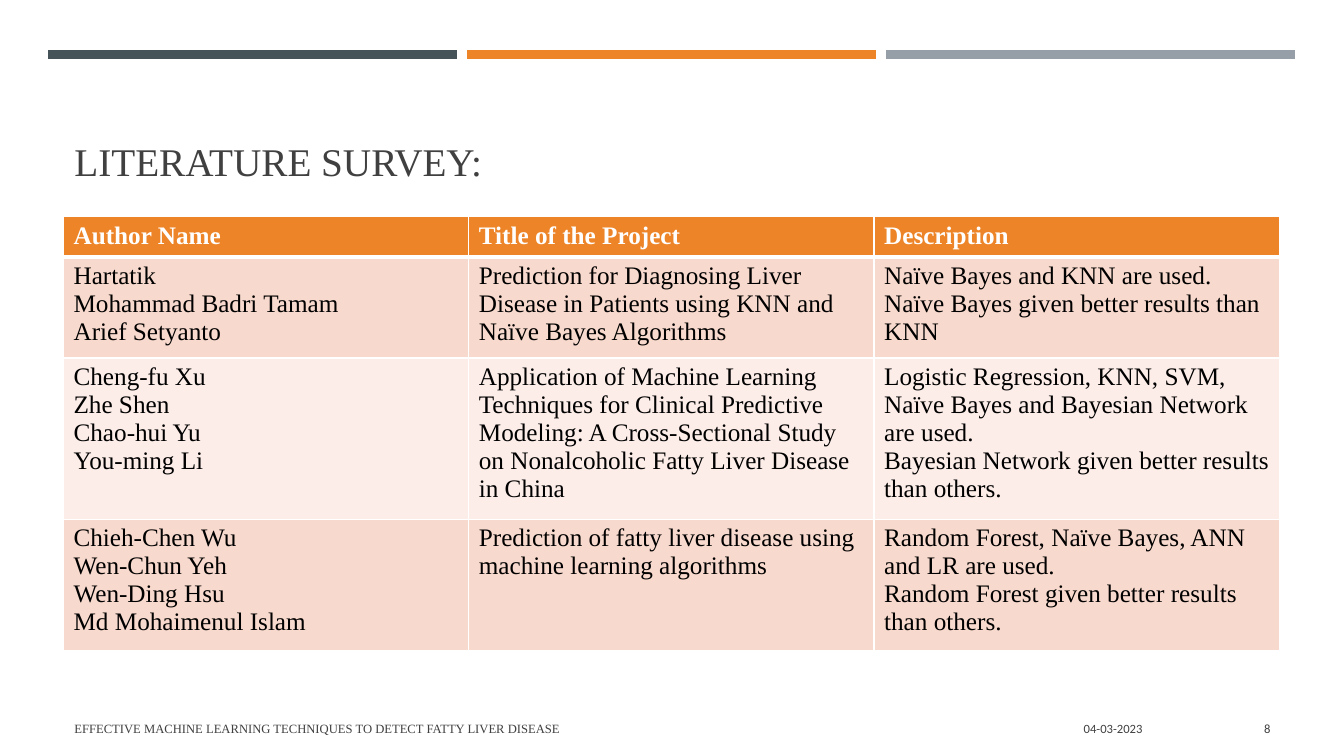
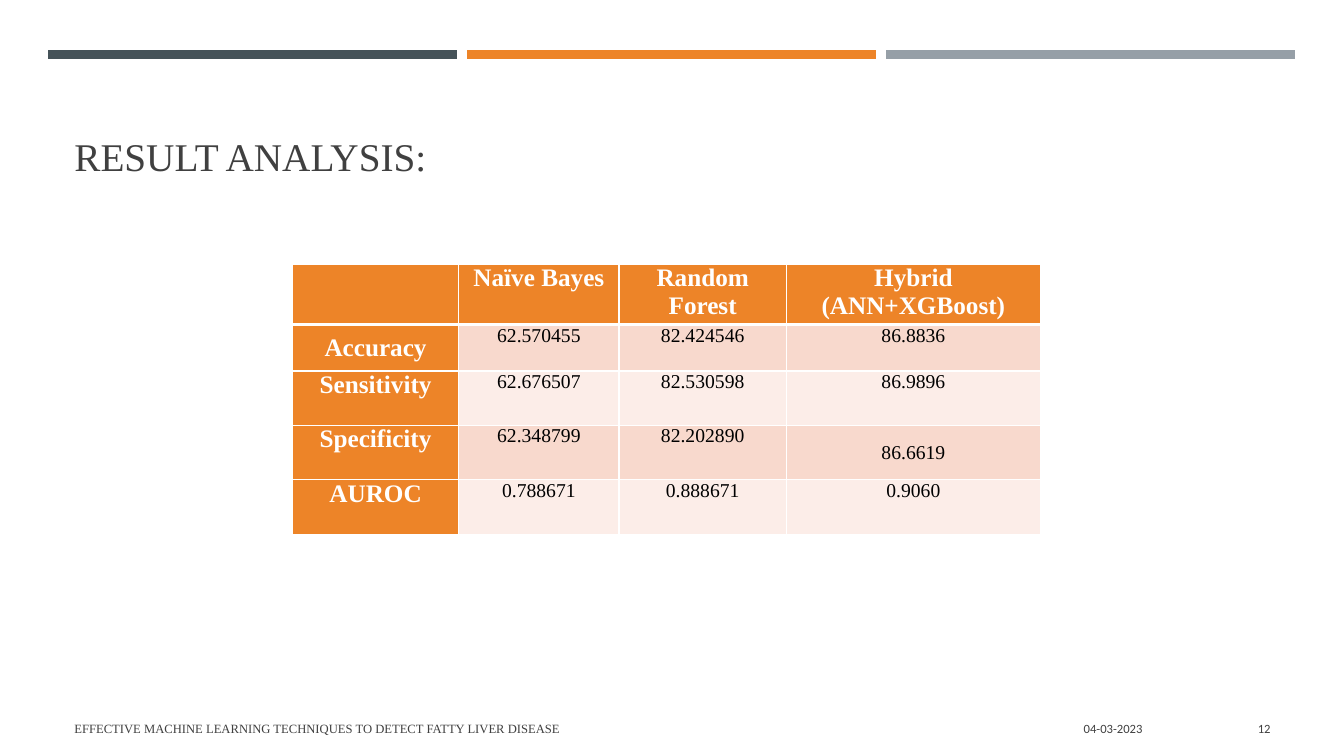
"""Build the literature survey and result analysis slides."""
from lxml.etree import fromstring
from pptx import Presentation
from pptx.dml.color import RGBColor as Rgb
from pptx.enum.shapes import MSO_CONNECTOR as Connector
from pptx.enum.text import MSO_ANCHOR as Anchor, PP_ALIGN as Align
from pptx.util import Inches, Pt

COLOURS = {
    "slate": "465359", "orange": "ED8428", "grey": "969FA7", "text": "404040",
    "white": "FFFFFF", "black": "000000", "rose": "F8D9CD", "blush": "FCEDE8",
}
SERIF, SANS = "Times New Roman", "Calibri"
DRAWING_NS = "http://schemas.openxmlformats.org/drawingml/2006/main"
FOOTER = "EFFECTIVE MACHINE LEARNING TECHNIQUES TO DETECT FATTY LIVER DISEASE"
DATE = "04-03-2023"
BAND_LEFT, BAND_RIGHT, BAND_WIDTH, BAND_Y = 0.48, 12.84, 4.05, 0.54
BAND_PITCH = (BAND_RIGHT - BAND_LEFT - BAND_WIDTH) / 2

SLIDES = [
    {
        "title": "LITERATURE SURVEY:", "title_top": 0.8, "number": "8",
        "corner": (0.63, 2.15),
        "columns": [4.02] * 3, "heights": [0.4, 0.92, 1.49, 1.2],
        "align": Align.LEFT, "body_size": 18, "margins": (0.1, 0.05),
        "label_column": False, "middle_cells": [],
        "rows": [
            ["Author Name", "Title of the Project", "Description"],
            ["Hartatik\nMohammad Badri Tamam\nArief Setyanto",
             "Prediction for Diagnosing Liver Disease in Patients using KNN "
             "and Naïve Bayes Algorithms",
             "Naïve Bayes and KNN are used.\n"
             "Naïve Bayes given better results than KNN"],
            ["Cheng-fu Xu\nZhe Shen\nChao-hui Yu\nYou-ming Li",
             "Application of Machine Learning Techniques for Clinical "
             "Predictive Modeling: A Cross-Sectional Study on Nonalcoholic "
             "Fatty Liver Disease in China",
             "Logistic Regression, KNN, SVM, Naïve Bayes and Bayesian Network "
             "are used.\nBayesian Network given better results than others."],
            ["Chieh-Chen Wu\nWen-Chun Yeh\nWen-Ding Hsu\nMd Mohaimenul Islam",
             "Prediction of fatty liver disease using machine learning "
             "algorithms",
             "Random Forest, Naïve Bayes, ANN and LR are used.\n"
             "Random Forest given better results than others."],
        ],
    },
    {
        "title": "RESULT ANALYSIS:", "title_top": 0.75, "number": "12",
        "corner": (2.9, 2.62),
        "columns": [1.65, 1.59, 1.66, 2.52],
        "heights": [0.55, 0.46, 0.54, 0.54, 0.54],
        "align": Align.CENTER, "body_size": 14, "margins": (0.07, 0),
        "label_column": True, "middle_cells": [(1, 0), (3, 3)],
        "rows": [
            ["", "Naïve Bayes", "Random Forest", "Hybrid (ANN+XGBoost)"],
            ["Accuracy", "62.570455", "82.424546", "86.8836"],
            ["Sensitivity", "62.676507", "82.530598", "86.9896"],
            ["Specificity", "62.348799", "82.202890", "86.6619"],
            ["AUROC", "0.788671", "0.888671", "0.9060"],
        ],
    },
]


def write(frame, text, *, size, font=SERIF, colour="text", bold=False,
          align=Align.LEFT):
    frame.word_wrap = True
    frame.text = text
    for paragraph in frame.paragraphs:
        paragraph.alignment = align
        paragraph.font.size = Pt(size)
        for run in paragraph.runs:
            run.font.size = Pt(size)
            run.font.name = font
            run.font.bold = bold
            run.font.color.rgb = Rgb.from_string(COLOURS[colour])


def paint_cell(cell, fill, top, bottom):
    cell.fill.solid()
    cell.fill.fore_color.rgb = Rgb.from_string(COLOURS[fill])
    properties = cell._tc.get_or_add_tcPr()
    edges = [("lnL", 1), ("lnR", 1), ("lnT", top), ("lnB", bottom)]
    for position, (edge, points) in enumerate(edges):
        properties.insert(position, fromstring(
            f'<a:{edge} xmlns:a="{DRAWING_NS}" w="{Pt(points)}"><a:solidFill>'
            f'<a:srgbClr val="{COLOURS["white"]}"/></a:solidFill></a:{edge}>'))


deck = Presentation()
deck.slide_width, deck.slide_height = Inches(13.33), Inches(7.5)

for content in SLIDES:
    slide = deck.slides.add_slide(deck.slide_layouts[6])

    for index, colour in enumerate(["slate", "orange", "grey"]):
        start = BAND_LEFT + index * BAND_PITCH
        band = slide.shapes.add_connector(
            Connector.STRAIGHT, Inches(start), Inches(BAND_Y),
            Inches(start + BAND_WIDTH), Inches(BAND_Y))
        band.line.color.rgb = Rgb.from_string(COLOURS[colour])
        band.line.width = Pt(6.5)
        band._element.spPr.append(
            fromstring(f'<a:effectLst xmlns:a="{DRAWING_NS}"/>'))

    captions = [
        (content["title"], (0.64, content["title_top"], 12.06, 1.08),
         Anchor.BOTTOM, {"size": 28}),
        (FOOTER, (0.64, 7.03, 7.56, 0.4), Anchor.MIDDLE, {"size": 9}),
        (DATE, (8.32, 7.03, 3.11, 0.4), Anchor.MIDDLE,
         {"size": 9, "font": SANS, "align": Align.RIGHT}),
        (content["number"], (11.55, 7.03, 1.15, 0.4), Anchor.MIDDLE,
         {"size": 9, "font": SANS, "align": Align.RIGHT}),
    ]
    for text, place, anchor, style in captions:
        caption = slide.shapes.add_textbox(*map(Inches, place)).text_frame
        caption.vertical_anchor = anchor
        write(caption, text, **style)

    columns, heights = content["columns"], content["heights"]
    left, top = content["corner"]
    grid = slide.shapes.add_table(
        len(heights), len(columns), Inches(left), Inches(top),
        Inches(sum(columns)), Inches(sum(heights))).table
    grid.horz_banding = False
    for column, width in zip(grid.columns, columns):
        column.width = Inches(width)
    for row, height in zip(grid.rows, heights):
        row.height = Inches(height)

    side, edge = map(Inches, content["margins"])
    for r, texts in enumerate(content["rows"]):
        for c, text in enumerate(texts):
            cell = grid.cell(r, c)
            heading = r == 0 or (c == 0 and content["label_column"])
            fill = "orange" if heading else "rose" if r % 2 else "blush"
            paint_cell(cell, fill, top=3 if r == 1 else 1,
                       bottom=3 if r == 0 else 1)
            cell.margin_left = cell.margin_right = side
            cell.margin_top = cell.margin_bottom = edge
            if (r, c) in content["middle_cells"]:
                cell.vertical_anchor = Anchor.MIDDLE
            write(cell.text_frame, text, bold=heading, align=content["align"],
                  size=18 if heading else content["body_size"],
                  colour="white" if heading else "black")

deck.save("out.pptx")
